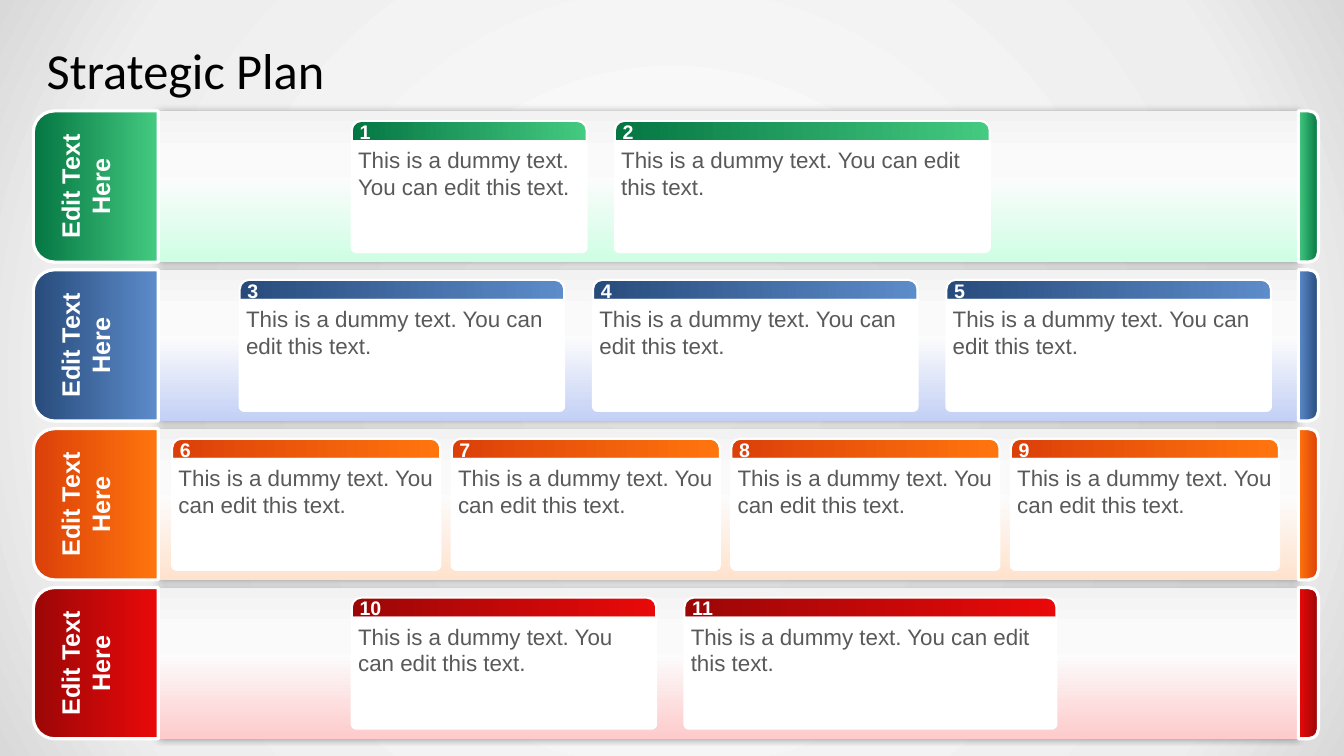
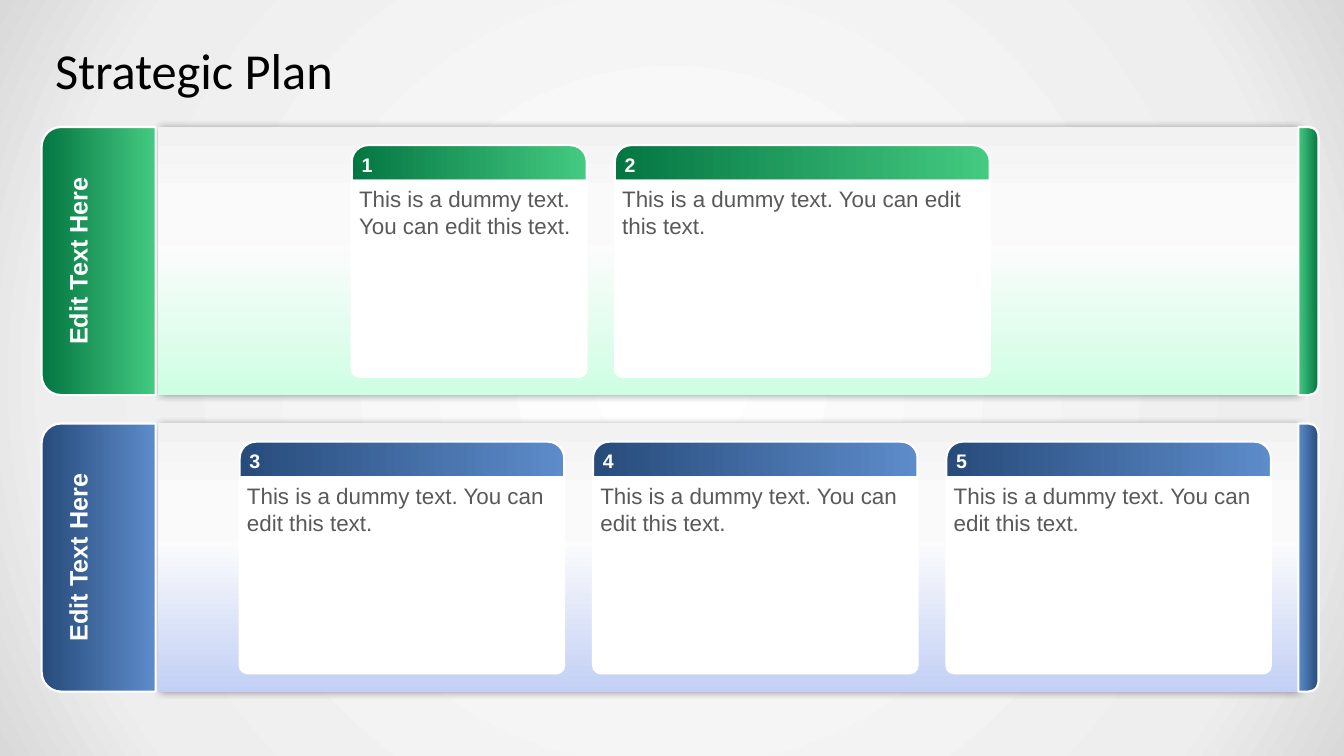
from copy import deepcopy
from dataclasses import dataclass

from lxml.etree import SubElement
from pptx import Presentation
from pptx.dml.color import RGBColor
from pptx.enum.shapes import MSO_SHAPE
from pptx.enum.text import MSO_ANCHOR, PP_ALIGN
from pptx.oxml.ns import qn
from pptx.util import Pt

# Shared style
SLIDE_WIDTH, SLIDE_HEIGHT = 960, 540
WHITE, BLACK, BODY_GREY = "FFFFFF", "000000", "595959"
BACKDROP_STOPS = [(0, "FFFFFF"), (0.81, "EEEEEE"), (1, "D9D9D9")]
BAND_STOPS = [(0, "F2F2F2"), (0.28, "FAFAFA"), (0.44, "FCFCFC")]
BAND_LEFT, BAND_RIGHT = 113, 927.4
END_CAP_WIDTH = 14.4
TITLE_TOP, TITLE_HEIGHT, TITLE_RIGHT = 21.6, 56.2, 912

# Shared wording
TITLE = "Strategic Plan"
LANE_LABEL = "Edit Text Here"
CARD_TEXT = "This is a dummy text. You can edit this text."


@dataclass
class Lane:
    dark: str
    light: str
    tint: str
    cards: list  # (left, width) of each card


@dataclass
class Layout:
    top: float
    pitch: float
    lane_height: float
    tab_left: float
    tab_width: float
    tab_line: float
    card_margin: float
    header_height: float


def even_cards(left, width, pitch, count):
    return [(left + i * pitch, width) for i in range(count)]


GREEN = Lane("047642", "44CA81", "CEFEE3", [(251.3, 167.8), (439.2, 267.8)])
BLUE = Lane("274B7B", "5D8CCB", "C3D0F5", even_cards(171.2, 231.8, 252.4, 3))
ORANGE = Lane("DB4009", "FF750D", "FFE2CD", even_cards(123, 191.5, 199.7, 4))
RED = Lane("9B0707", "E90909", "FDCBCB", [(251.3, 217.4), (488.9, 265.7)])

FOUR_LANES = Layout(top=79.2, pitch=113.5, lane_height=108, tab_left=23.8,
                    tab_width=89.2, tab_line=2.25, card_margin=7.2,
                    header_height=14.4)
TWO_LANES = Layout(top=90.7, pitch=211.8, lane_height=191.5, tab_left=29.8,
                   tab_width=81.4, tab_line=1.5, card_margin=13,
                   header_height=25.3)


def color(hex_value):
    return RGBColor.from_string(hex_value)


def paint_gradient(fill, element, stops, angle=None):
    """Linear gradient with a clockwise angle, or circular from the centre without one."""
    fill.gradient()
    if angle is not None:
        fill.gradient_angle = -angle % 360
    gradient = next(element.iter(qn("a:gradFill")))
    stop_list = gradient.find(qn("a:gsLst"))
    for _ in stops[2:]:
        stop_list.append(deepcopy(stop_list[0]))
    for stop, (position, hex_value) in zip(fill.gradient_stops, stops):
        stop.position = position
        stop.color.rgb = color(hex_value)
    if angle is None:
        gradient.remove(gradient.find(qn("a:lin")))
        circle = SubElement(gradient, qn("a:path"), path="circle")
        SubElement(circle, qn("a:fillToRect"), l="50000", t="50000", r="50000", b="50000")


def add_glow_shadow(shape, blur, opacity):
    effects = shape.element.spPr.find(qn("a:effectLst"))
    shadow = SubElement(effects, qn("a:outerShdw"), blurRad=str(Pt(blur)),
                        dist="0", dir="0", algn="ctr", rotWithShape="0")
    black = SubElement(shadow, qn("a:srgbClr"), val=BLACK)
    SubElement(black, qn("a:alpha"), val=str(opacity * 1000))


def add_box(slide, kind, left, top, width, height, line_width=None, corners=None):
    shape = slide.shapes.add_shape(kind, Pt(left), Pt(top), Pt(width), Pt(height))
    shape.shadow.inherit = False
    if line_width:
        shape.line.color.rgb = color(WHITE)
        shape.line.width = Pt(line_width)
    else:
        shape.line.fill.background()
    for index, corner in enumerate(corners or ()):
        shape.adjustments[index] = corner
    return shape


def write(shape, text, size, hex_value, insets, font="Arial", bold=False,
          anchor=MSO_ANCHOR.TOP, align=PP_ALIGN.LEFT):
    frame = shape.text_frame
    frame.word_wrap = True
    frame.vertical_anchor = anchor
    (frame.margin_left, frame.margin_top,
     frame.margin_right, frame.margin_bottom) = map(Pt, insets)
    paragraph = frame.paragraphs[0]
    paragraph.alignment = align
    run = paragraph.add_run()
    run.text = text
    run.font.name = font
    run.font.size = Pt(size)
    run.font.bold = bold
    run.font.color.rgb = color(hex_value)


def add_title(slide, left):
    title = slide.shapes.add_textbox(Pt(left), Pt(TITLE_TOP),
                                     Pt(TITLE_RIGHT - left), Pt(TITLE_HEIGHT))
    write(title, TITLE, 36, BLACK, (9.6, 4.8, 9.6, 4.8), font="Calibri",
          anchor=MSO_ANCHOR.MIDDLE)


def add_turned_tab(slide, lane, left, top, width, height, rotation, line_width, corner):
    """Tab whose rounded top is turned sideways; the box is the one seen."""
    tab = add_box(slide, MSO_SHAPE.ROUND_2_SAME_RECTANGLE,
                  left + (width - height) / 2, top + (height - width) / 2,
                  height, width, line_width, (corner, 0))
    tab.rotation = rotation
    paint_gradient(tab.fill, tab.element, [(0, lane.dark), (1, lane.light)], 90)
    return tab


def add_card(slide, lane, layout, number, left, top, width):
    # Numbered header
    header = add_box(slide, MSO_SHAPE.ROUND_2_SAME_RECTANGLE, left, top, width,
                     layout.header_height, 1.5, (0.46, 0))
    paint_gradient(header.fill, header.element, [(0, lane.dark), (1, lane.light)], 0)
    write(header, str(number), 14, WHITE, (3.6, 2.2, 7.2, 3.6), bold=True,
          anchor=MSO_ANCHOR.MIDDLE)
    # Body
    body_height = layout.lane_height - 2 * layout.card_margin - layout.header_height
    body = add_box(slide, MSO_SHAPE.ROUND_2_SAME_RECTANGLE, left,
                   top + layout.header_height, width, body_height, 1.5, (0, 0.04))
    body.fill.solid()
    body.fill.fore_color.rgb = color(WHITE)
    write(body, CARD_TEXT, 16, BODY_GREY, (3.6, 3.6, 3.6, 3.6))


def add_lane(slide, lane, layout, top, first_number):
    # Band
    band = add_box(slide, MSO_SHAPE.RECTANGLE, BAND_LEFT, top,
                   BAND_RIGHT - BAND_LEFT, layout.lane_height)
    paint_gradient(band.fill, band.element, BAND_STOPS + [(1, lane.tint)], 90)
    add_glow_shadow(band, blur=5, opacity=40)
    # End cap and label tab
    add_turned_tab(slide, lane, BAND_RIGHT, top, END_CAP_WIDTH, layout.lane_height,
                   90, layout.tab_line, 0.5)
    label = add_turned_tab(slide, lane, layout.tab_left, top, layout.tab_width,
                           layout.lane_height, 270, layout.tab_line, 0.17)
    write(label, LANE_LABEL, 18, WHITE, (7.2, 10.8, 7.2, 3.6), bold=True,
          align=PP_ALIGN.CENTER)
    # Cards
    for number, (left, width) in enumerate(lane.cards, first_number):
        add_card(slide, lane, layout, number, left, top + layout.card_margin, width)


def add_plan_slide(deck, layout, lanes):
    slide = deck.slides.add_slide(deck.slide_layouts[6])
    paint_gradient(slide.background.fill, slide.element, BACKDROP_STOPS)
    add_title(slide, layout.tab_left)
    number = 1
    for index, lane in enumerate(lanes):
        add_lane(slide, lane, layout, layout.top + index * layout.pitch, number)
        number += len(lane.cards)


def main():
    deck = Presentation()
    deck.slide_width, deck.slide_height = Pt(SLIDE_WIDTH), Pt(SLIDE_HEIGHT)
    add_plan_slide(deck, FOUR_LANES, [GREEN, BLUE, ORANGE, RED])
    add_plan_slide(deck, TWO_LANES, [GREEN, BLUE])
    deck.save("out.pptx")


if __name__ == "__main__":
    main()
